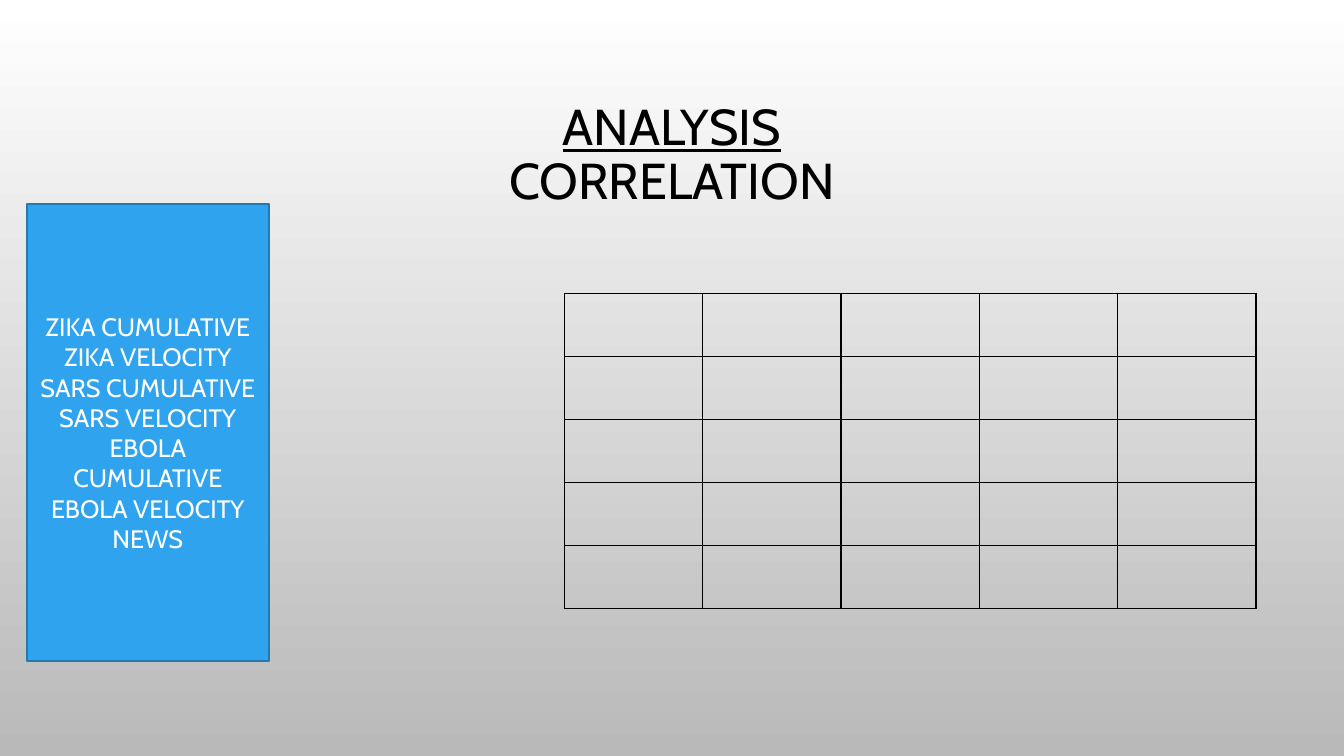
import pptx
import pptx.dml.color
import pptx.enum.shapes
import pptx.enum.text
import pptx.oxml
import pptx.oxml.ns
import pptx.util

WIDE, HIGH = 13.33, 7.5
FONT = "Cabin"
TOPICS = ["ZIKA CUMULATIVE", "ZIKA VELOCITY", "SARS CUMULATIVE", "SARS VELOCITY",
          "EBOLA CUMULATIVE", "EBOLA VELOCITY", "NEWS"]


def tint(code):
    """Return the colour for a hex string."""
    return pptx.dml.color.RGBColor.from_string(code)


def place(box):
    """Turn a box in inches into slide lengths."""
    return [pptx.util.Inches(size) for size in box]


def write(frame, paras, size, color, under=(), gap=1.0):
    """Write centred paragraphs, underlining the lines named in under."""
    frame.word_wrap = True
    frame.vertical_anchor = pptx.enum.text.MSO_ANCHOR.MIDDLE
    for index, text in enumerate(paras):
        para = frame.add_paragraph() if index else frame.paragraphs[0]
        para.alignment = pptx.enum.text.PP_ALIGN.CENTER
        para.line_spacing = gap
        for row, line in enumerate(text.split("\n")):
            if row:
                para.add_line_break()
            run = para.add_run()
            run.text = line
            run.font.name = FONT
            run.font.size = pptx.util.Pt(size)
            run.font.color.rgb = tint(color)
            run.font.underline = line in under


def shade(slide, top, base):
    """Fill the background with a gradient running downwards."""
    fill = slide.background.fill
    fill.gradient()
    fill.gradient_angle = 270
    for stop, code in zip(fill.gradient_stops, (top, base)):
        stop.color.rgb = tint(code)


def head(slide, box):
    """Place the two-line title."""
    frame = slide.shapes.add_textbox(*place(box)).text_frame
    write(frame, ["ANALYSIS\nCORRELATION"], size=36, color="000000",
          under=["ANALYSIS"], gap=0.9)


def panel(slide, box):
    """Place the blue panel that lists the topics."""
    shape = slide.shapes.add_shape(pptx.enum.shapes.MSO_SHAPE.RECTANGLE, *place(box))
    shape.shadow.inherit = False
    shape.fill.solid()
    shape.fill.fore_color.rgb = tint("2FA3EE")
    shape.line.color.rgb = tint("2379B0")
    shape.line.width = pptx.util.Pt(1.25)
    write(shape.text_frame, TOPICS, size=18, color="FFFFFF")


def edge(cell, color, width):
    """Draw all four borders of a cell."""
    props = cell._tc.get_or_add_tcPr()
    space = pptx.oxml.ns.nsdecls("a")
    for slot, side in enumerate(("lnL", "lnR", "lnT", "lnB")):
        props.insert(slot, pptx.oxml.parse_xml(
            f'<a:{side} {space} w="{pptx.util.Pt(width)}"><a:solidFill>'
            f'<a:srgbClr val="{color}"/></a:solidFill></a:{side}>'))


def matrix(slide, box, rows, cols):
    """Place an empty grid of equal cells."""
    table = slide.shapes.add_table(rows, cols, *place(box)).table
    table.first_row = table.horz_banding = False
    for cell in table.iter_cells():
        cell.fill.background()
        edge(cell, "000000", 1)


def main():
    """Build and save the slide."""
    deck = pptx.Presentation()
    deck.slide_width, deck.slide_height = place((WIDE, HIGH))
    slide = deck.slides.add_slide(deck.slide_layouts[6])
    shade(slide, "FFFFFF", "B9B9B9")
    head(slide, (WIDE * 0.075, HIGH * 0.09, WIDE * 0.85, 1.75))
    matrix(slide, (WIDE * 0.42, 2.91, 6.86, 3.13), rows=5, cols=5)
    panel(slide, (WIDE * 0.02, HIGH * 0.27, WIDE * 0.18, 4.53))
    deck.save("out.pptx")


if __name__ == "__main__":
    main()
